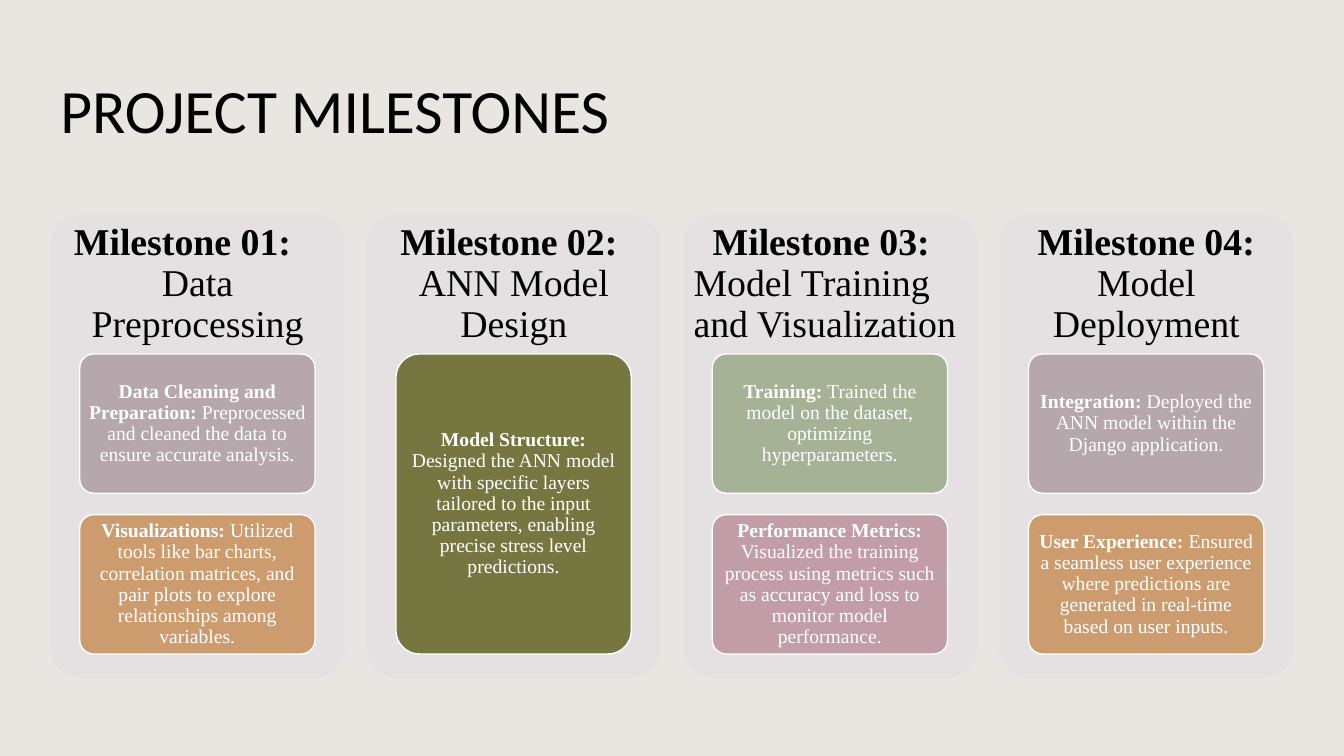
from pptx import Presentation
from pptx.dml.color import RGBColor
from pptx.enum.shapes import MSO_SHAPE as Shape
from pptx.enum.text import MSO_ANCHOR as Anchor, PP_ALIGN as Align
from pptx.util import Cm, Pt

BACKGROUND = RGBColor(0xE9, 0xE5, 0xE1)
PANEL = RGBColor(0xE5, 0xE1, 0xE3)
BLACK = RGBColor(0, 0, 0)
WHITE = RGBColor(0xFF, 0xFF, 0xFF)
MAUVE = RGBColor(0xB5, 0xA7, 0xAC)
TAN = RGBColor(0xCC, 0x9C, 0x6F)
OLIVE = RGBColor(0x76, 0x76, 0x40)
SAGE = RGBColor(0xA5, 0xB2, 0x95)
ROSE = RGBColor(0xC1, 0x9D, 0xA7)

# All lengths in cm
LEFT, PITCH = 1.27, 7.97
PANEL_TOP, PANEL_WIDTH, PANEL_HEIGHT = 5.41, 7.42, 11.66
HEADING_HEIGHT = 3.51
CARD_INSET, CARD_WIDTH, CARDS_HEIGHT, CARD_GAP = 0.74, 5.93, 7.56, 0.54

# Number, topic, heading format, cards (colour, lead, detail)
MILESTONES = [
    ("Milestone 01:", "Data Preprocessing", {"right": 0.76}, [
        (MAUVE, "Data Cleaning and Preparation:",
         " Preprocessed and cleaned the data to ensure accurate analysis."),
        (TAN, "Visualizations:",
         " Utilized tools like bar charts, correlation matrices, and pair "
         "plots to explore relationships among variables."),
    ]),
    ("Milestone 02:", "ANN Model Design", {"right": 0.25}, [
        (OLIVE, "Model Structure:",
         " Designed the ANN model with specific layers tailored to the input "
         "parameters, enabling precise stress level predictions."),
    ]),
    ("Milestone 03:", "Model Training and Visualization",
     {"align": Align.LEFT, "left": 0.48}, [
        (SAGE, "Training:",
         " Trained the model on the dataset, optimizing hyperparameters."),
        (ROSE, "Performance Metrics:",
         " Visualized the training process using metrics such as accuracy "
         "and loss to monitor model performance."),
    ]),
    ("Milestone 04:", "Model Deployment", {}, [
        (MAUVE, "Integration:",
         " Deployed the ANN model within the Django application."),
        (TAN, "User Experience:",
         " Ensured a seamless user experience where predictions are "
         "generated in real-time based on user inputs."),
    ]),
]


def write(paragraph, text, size, font="Times New Roman", color=BLACK,
          bold=False, align=Align.CENTER, left=0, right=0):
    """Append a run and set its paragraph's alignment and side margins."""
    paragraph.alignment = align
    paragraph.line_spacing = 0.9
    margins = paragraph._p.get_or_add_pPr()
    margins.set("marL", str(Cm(left)))
    margins.set("marR", str(Cm(right)))
    run = paragraph.add_run()
    run.text = text
    run.font.name, run.font.size = font, Pt(size)
    run.font.bold, run.font.color.rgb = bold, color


class MilestoneSlide:
    def __init__(self, presentation):
        self.slide = presentation.slides.add_slide(presentation.slide_layouts[6])
        background = self.slide.background.fill
        background.solid()
        background.fore_color.rgb = BACKGROUND

    def frame(self, holder, inset_x, inset_y):
        """Prepare a wrapped, vertically centred text frame."""
        frame = holder.text_frame
        frame.word_wrap = True
        frame.vertical_anchor = Anchor.MIDDLE
        frame.margin_left = frame.margin_right = Cm(inset_x)
        frame.margin_top = frame.margin_bottom = Cm(inset_y)
        return frame

    def text_box(self, left, top, width, height, inset):
        box = self.slide.shapes.add_textbox(Cm(left), Cm(top), Cm(width), Cm(height))
        return self.frame(box, inset, inset)

    def rounded(self, left, top, width, height, color):
        shape = self.slide.shapes.add_shape(
            Shape.ROUNDED_RECTANGLE, Cm(left), Cm(top), Cm(width), Cm(height))
        shape.adjustments[0] = 0.1
        shape.shadow.inherit = False
        shape.fill.solid()
        shape.fill.fore_color.rgb = color
        shape.line.fill.background()
        return shape

    def title(self, text):
        frame = self.text_box(LEFT, 1.02, 30.28, 3.68, 0.25)
        write(frame.paragraphs[0], text, 44, font="Calibri", align=Align.LEFT)

    def heading(self, left, number, topic, style):
        frame = self.text_box(left, PANEL_TOP, PANEL_WIDTH, HEADING_HEIGHT, 0.27)
        write(frame.paragraphs[0], number, 27, bold=True, **style)
        write(frame.add_paragraph(), topic, 27,
              align=style.get("align", Align.CENTER))

    def card(self, left, top, height, color, lead, detail):
        card = self.rounded(left, top, CARD_WIDTH, height, color)
        card.line.color.rgb = WHITE
        card.line.width = Pt(1)
        paragraph = self.frame(card, 0.1, 0.08).paragraphs[0]
        write(paragraph, lead, 14, color=WHITE, bold=True)
        write(paragraph, detail, 14, color=WHITE)

    def milestone(self, left, number, topic, style, cards):
        self.rounded(left, PANEL_TOP, PANEL_WIDTH, PANEL_HEIGHT, PANEL)
        self.heading(left, number, topic, style)
        height = (CARDS_HEIGHT + CARD_GAP) / len(cards) - CARD_GAP
        for row, card in enumerate(cards):
            top = PANEL_TOP + HEADING_HEIGHT + row * (height + CARD_GAP)
            self.card(left + CARD_INSET, top, height, *card)


def main():
    presentation = Presentation()
    presentation.slide_width, presentation.slide_height = Cm(33.87), Cm(19.05)
    slide = MilestoneSlide(presentation)
    slide.title("PROJECT MILESTONES")
    for column, milestone in enumerate(MILESTONES):
        slide.milestone(LEFT + column * PITCH, *milestone)
    presentation.save("out.pptx")


if __name__ == "__main__":
    main()
